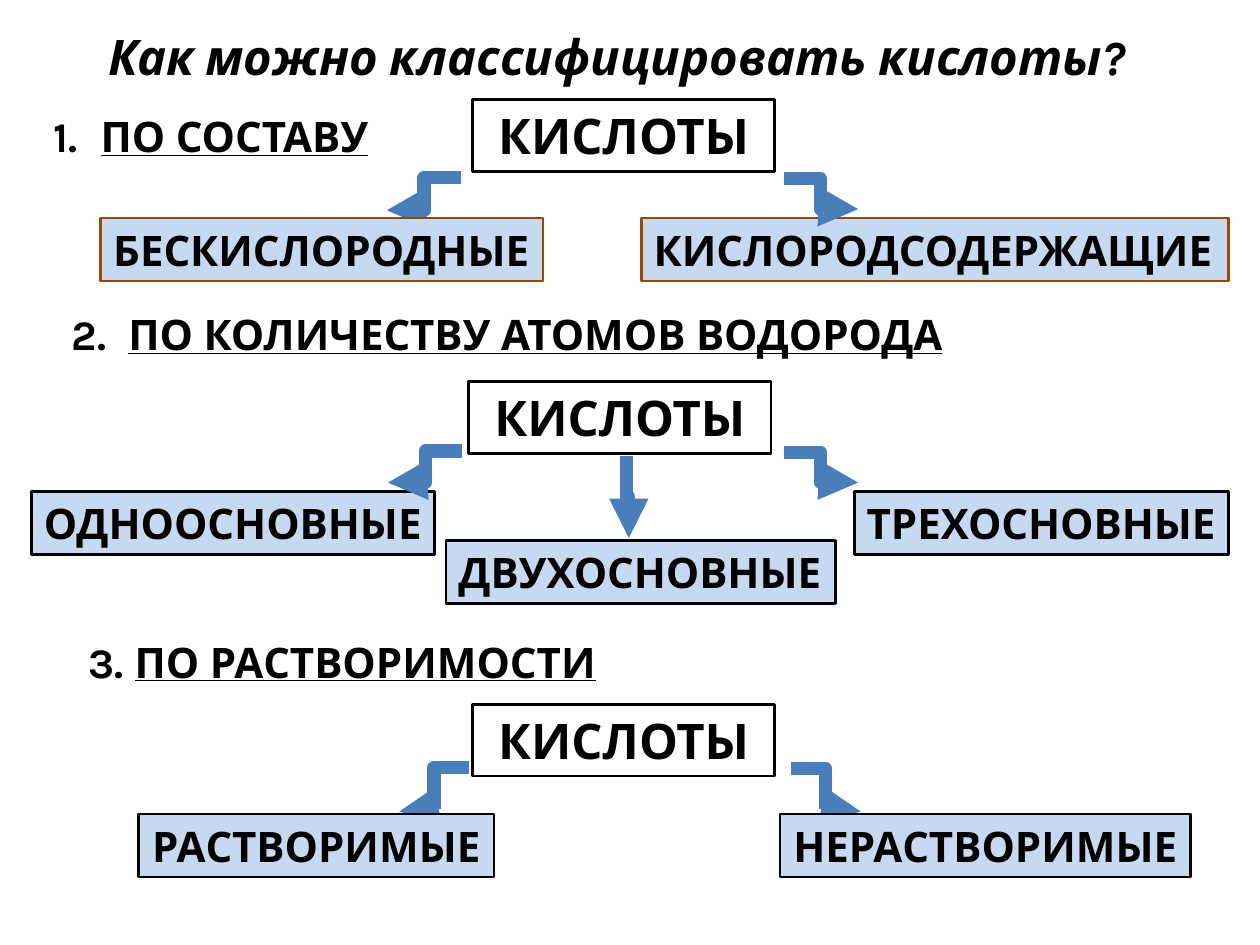
import pptx
import pptx.dml.color
import pptx.enum.shapes
import pptx.enum.text
import pptx.oxml
import pptx.oxml.ns
import pptx.util
from pptx.util import Inches

FONT = "Karla"
BLACK, PALE_BLUE, BROWN, ARROW_BLUE = "000000", "C6D9F1", "984806", "4A7EBB"
LEFT = pptx.enum.text.PP_ALIGN.LEFT
CENTER = pptx.enum.text.PP_ALIGN.CENTER
ROOT_WIDTH, ROOT_HEIGHT, BRANCH_HEIGHT = 2.4, 0.57, 0.5

SECTIONS = [
    {
        "box": (0, 0.79),
        "heading": ("1.", "ПО СОСТАВУ", 0.33, 0.04, 2.81, 0.37),
        "root": (3.75, 0),
        "branches": [("БЕСКИСЛОРОДНЫЕ", 0.8, 0.94, 3.51),
                     ("КИСЛОРОДСОДЕРЖАЩИЕ", 5.09, 0.94, 4.66)],
        "border": BROWN,
        "align": LEFT,
        "arrows_behind": [(3.66, 0.62, 3.07, 0.88)],
        "arrows_front": [(6.22, 0.63, 6.81, 0.87)],
    },
    {
        "box": (0, 2.4),
        "heading": ("2.", "ПО КОЛИЧЕСТВУ АТОМОВ ВОДОРОДА", 0.47, 0, 7.18, 0.45),
        "root": (3.72, 0.63),
        "branches": [("ОДНООСНОВНЫЕ", 0.25, 1.5, 3.2),
                     ("ДВУХОСНОВНЫЕ", 3.54, 1.89, 3.09),
                     ("ТРЕХОСНОВНЫЕ", 6.78, 1.5, 2.97)],
        "border": BLACK,
        "align": LEFT,
        "arrows_behind": [],
        "arrows_front": [(3.67, 1.18, 3.08, 1.43), (6.22, 1.19, 6.81, 1.43),
                         (4.97, 1.22, 4.99, 1.87)],
    },
    {
        "box": (0, 5),
        "heading": ("3.", "ПО РАСТВОРИМОСТИ", 0.6, 0, 4.25, 0.37),
        "root": (3.75, 0.59),
        "branches": [("РАСТВОРИМЫЕ", 1.1, 1.46, 2.82),
                     ("НЕРАСТВОРИМЫЕ", 6.19, 1.46, 3.26)],
        "border": BLACK,
        "align": CENTER,
        "arrows_behind": [(6.28, 1.1, 6.83, 1.44), (3.72, 1.09, 3.17, 1.44)],
        "arrows_front": [],
    },
]


def color(value):
    return pptx.dml.color.RGBColor.from_string(value)


def prepare_text(shape, align=LEFT):
    frame = shape.text_frame
    frame.word_wrap = False
    frame.auto_size = pptx.enum.text.MSO_AUTO_SIZE.SHAPE_TO_FIT_TEXT
    frame.vertical_anchor = pptx.enum.text.MSO_ANCHOR.TOP
    para = frame.paragraphs[0]
    para.alignment = align
    return para


def add_span(para, text, size, italic=False, underline=False):
    span = para.add_run()
    span.text = text
    span.font.name = FONT
    span.font.size = pptx.util.Pt(size)
    span.font.bold = True
    span.font.italic = italic
    span.font.underline = underline
    span.font.color.rgb = color(BLACK)


def add_title(page, left, top, width, height):
    title = page.shapes.title
    title.left, title.top = Inches(left), Inches(top)
    title.width, title.height = Inches(width), Inches(height)
    add_span(prepare_text(title), "Как можно классифицировать кислоты?", 28, italic=True)


def add_heading(page, number, text, left, top, width, tab):
    box = page.shapes.add_textbox(Inches(left), Inches(top), Inches(width), Inches(0.5))
    para = prepare_text(box)
    tabs = pptx.oxml.parse_xml(
        f'<a:tabLst {pptx.oxml.ns.nsdecls("a")}><a:tab pos="{Inches(tab)}" algn="l"/></a:tabLst>')
    para._p.get_or_add_pPr().append(tabs)
    add_span(para, number + "\t", 24)
    add_span(para, text, 24, underline=True)


def add_label(page, text, left, top, width, height, size, align, border, fill=None):
    label = page.shapes.add_shape(
        pptx.enum.shapes.MSO_SHAPE.RECTANGLE,
        Inches(left), Inches(top), Inches(width), Inches(height))
    label.shadow.inherit = False
    if fill:
        label.fill.solid()
        label.fill.fore_color.rgb = color(fill)
    else:
        label.fill.background()
    label.line.color.rgb = color(border)
    label.line.width = pptx.util.Pt(1.5)
    add_span(prepare_text(label, align), text, size)


def add_arrow(page, x1, y1, x2, y2):
    upright = abs(y2 - y1) > abs(x2 - x1)
    if upright:
        middle_x, middle_y = (x1 + x2) / 2, (y1 + y2) / 2
        half_length, half_shift = (y2 - y1) / 2, (x2 - x1) / 2
        x1, x2 = middle_x + half_length, middle_x - half_length
        y1, y2 = middle_y - half_shift, middle_y + half_shift
    arrow = page.shapes.add_connector(
        pptx.enum.shapes.MSO_CONNECTOR.ELBOW,
        Inches(x1), Inches(y1), Inches(x2), Inches(y2))
    if upright:
        arrow._element.spPr.xfrm.set("rot", str(270 * 60000))
    arrow.line.color.rgb = color(ARROW_BLUE)
    arrow.line.width = pptx.util.Pt(7.5)
    namespace = pptx.oxml.ns.nsdecls("a")
    arrow.line._get_or_add_ln().append(
        pptx.oxml.parse_xml(f'<a:tailEnd {namespace} type="triangle"/>'))
    arrow._element.spPr.append(pptx.oxml.parse_xml(f"<a:effectLst {namespace}/>"))


def add_section(page, box, heading, root, branches, border, align,
                arrows_behind, arrows_front):
    left, top = box

    def add_arrows(arrows):
        for x1, y1, x2, y2 in arrows:
            add_arrow(page, left + x1, top + y1, left + x2, top + y2)

    number, text, x, y, width, tab = heading
    add_heading(page, number, text, left + x, top + y, width, tab)
    add_label(page, " КИСЛОТЫ ", left + root[0], top + root[1],
              ROOT_WIDTH, ROOT_HEIGHT, 28, CENTER, BLACK)
    add_arrows(arrows_behind)
    for text, x, y, width in branches:
        add_label(page, text, left + x, top + y, width, BRANCH_HEIGHT,
                  24, align, border, PALE_BLUE)
    add_arrows(arrows_front)


def main():
    deck = pptx.Presentation()
    deck.slide_width, deck.slide_height = Inches(10), Inches(7.5)
    page = deck.slides.add_slide(deck.slide_layouts[5])
    add_title(page, 0.76, 0.16, 8.3, 0.57)
    for section in SECTIONS:
        add_section(page, **section)
    deck.save("out.pptx")


if __name__ == "__main__":
    main()
